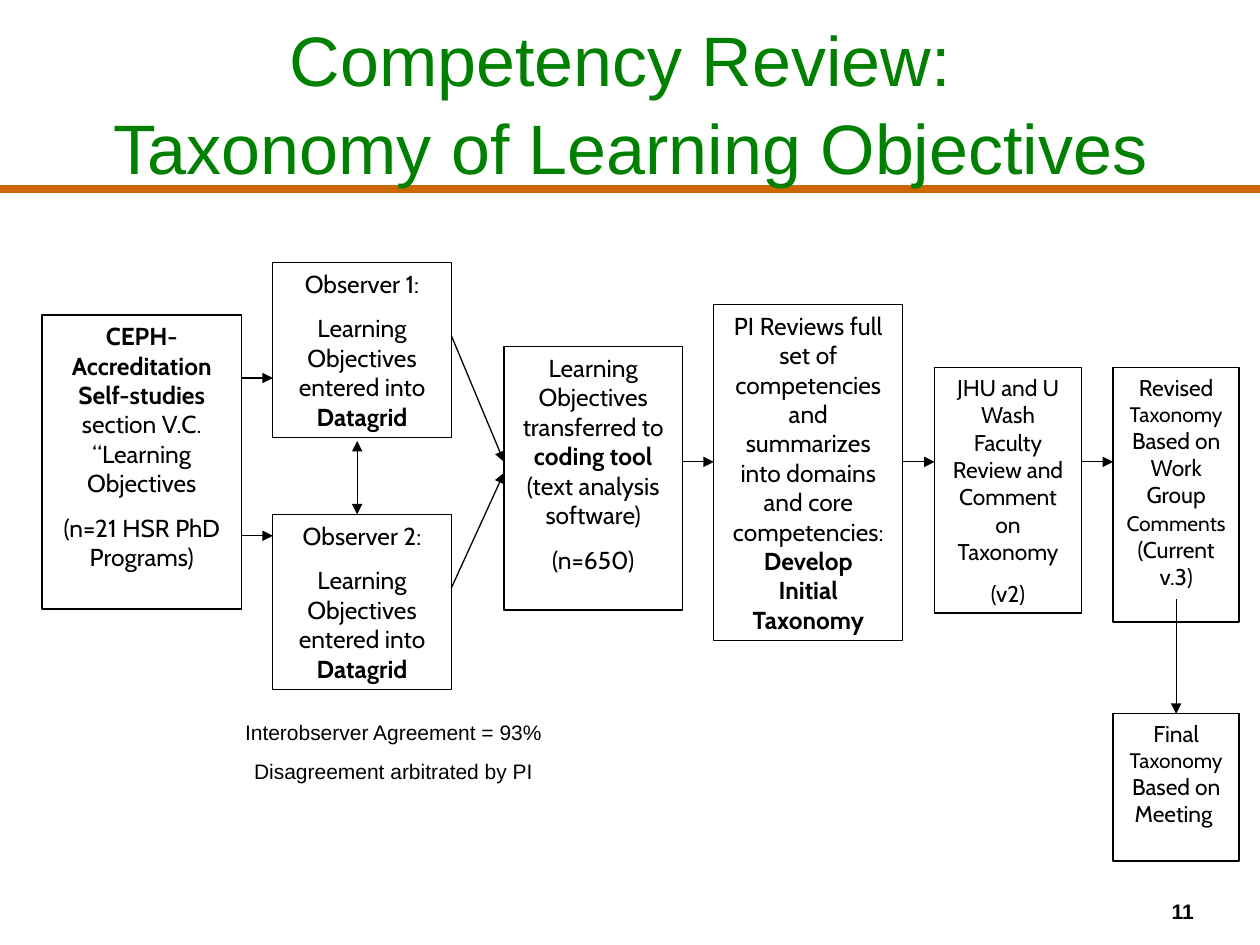
from lxml import etree
from pptx import Presentation
from pptx.dml.color import RGBColor
from pptx.enum.shapes import MSO_CONNECTOR, MSO_SHAPE
from pptx.enum.text import MSO_ANCHOR, PP_ALIGN
from pptx.oxml.ns import qn
from pptx.util import Cm, Pt

STRAIGHT = MSO_CONNECTOR.STRAIGHT
RECTANGLE = MSO_SHAPE.RECTANGLE
TOP, MIDDLE = MSO_ANCHOR.TOP, MSO_ANCHOR.MIDDLE
LEFT, CENTER = PP_ALIGN.LEFT, PP_ALIGN.CENTER
COLORS = {"title": "008000", "rule": "CC6600", "ink": "000000"}


def write(box, paragraphs, font, color="ink", align=CENTER, gap=0, anchor=TOP, wrap=True):
    frame = box.text_frame
    frame.word_wrap = wrap
    frame.vertical_anchor = anchor
    for index, spans in enumerate(paragraphs):
        para = frame.add_paragraph() if index else frame.paragraphs[0]
        para.alignment = align
        para.space_before = Pt(gap if index else 0)
        for text, size, bold in spans:
            span = para.add_run()
            span.text = text
            span.font.name = font
            span.font.size = Pt(size)
            span.font.bold = bold
            span.font.color.rgb = RGBColor.from_string(COLORS[color])


def connect(start, end, color, width, ends=()):
    line = page.shapes.add_connector(STRAIGHT, *map(Cm, start + end))
    line.line.color.rgb = RGBColor.from_string(COLORS[color])
    line.line.width = Pt(width)
    outline = line.line._get_or_add_ln()
    for tag in ends:
        etree.SubElement(outline, qn(tag), type="triangle")
    etree.SubElement(line._element.spPr, qn("a:effectLst"))


deck = Presentation()
deck.slide_width, deck.slide_height = Cm(25.4), Cm(19.05)
page = deck.slides.add_slide(deck.slide_layouts[6])

connect((0, 3.81), (25.4, 3.81), "rule", 4.5)

number = page.shapes.add_textbox(Cm(23.37), Cm(17.98), Cm(2.54), Cm(0.76))
write(number, [[("11", 12, True)]], "Arial", align=LEFT, wrap=False)

title = page.shapes.add_textbox(Cm(1.27), Cm(0.43), Cm(22.86), Cm(3.18))
write(title, [[("Competency Review: ", 40, False)]], "Arial", "title", anchor=MIDDLE)
heading = title.text_frame.paragraphs[0]
heading.line_spacing = 1.05
heading.add_line_break()
second_line = heading.add_run()
second_line.text = "Taxonomy of Learning Objectives"
second_line.font.name = "Arial"
second_line.font.size = Pt(40)
second_line.font.color.rgb = RGBColor.from_string(COLORS["title"])

agreement = page.shapes.add_textbox(Cm(4.66), Cm(14.39), Cm(6.55), Cm(1.55))
write(agreement, [
    [("Interobserver Agreement = 93%", 12, False)],
    [("Disagreement arbitrated by PI", 12, False)],
], "Arial", gap=7.5)

steps = [
    ((0.85, 6.35, 4.02, 5.93), 8.8, [
        [("CEPH-Accreditation Self-studies", 14, True),
         (" section V.C. “Learning Objectives", 14, False)],
        [("(n=21 HSR PhD Programs)", 14, False)]]),
    ((10.16, 6.99, 3.6, 5.31), 8.8, [
        [("Learning Objectives transferred to ", 14, False),
         ("coding tool", 14, True),
         (" (text analysis software)", 14, False)],
        [("(n=650)", 14, False)]]),
    ((14.39, 6.14, 3.81, 6.78), 0, [
        [("PI Reviews full set of competencies and summarizes into domains "
          "and core competencies: ", 14, False),
         ("Develop", 14, True)],
        [("Initial Taxonomy", 14, True)]]),
    ((18.84, 7.41, 2.96, 4.95), 8.1, [
        [("JHU and U Wash Faculty Review and Comment on", 13, False),
         (" ", 12, False),
         ("Taxonomy", 13, False)],
        [("(v2)", 13, False)]]),
    ((22.44, 7.41, 2.54, 5.13), 8.1, [
        [("Revised ", 13, False), ("Taxonomy ", 12, False),
         ("Based on Work Group ", 13, False), ("Comments", 12, False),
         (" (Current v.3)", 13, False)]]),
    ((22.44, 14.39, 2.54, 2.97), 8.1, [
        [("Final ", 13, False), ("Taxonomy ", 12, False),
         ("Based on Meeting ", 13, False)]]),
]
for observer, top in ((1, 5.29), (2, 10.37)):
    steps.append(((5.5, top, 3.6, 3.53), 8.8, [
        [(f"Observer {observer}:", 14, False)],
        [("Learning Objectives entered into ", 14, False), ("Datagrid", 14, True)]]))

for bounds, gap, paragraphs in steps:
    box = page.shapes.add_shape(RECTANGLE, *map(Cm, bounds))
    box.shadow.inherit = False
    box.fill.background()
    box.line.color.rgb = RGBColor.from_string(COLORS["ink"])
    box.line.width = Pt(0.75)
    write(box, paragraphs, "Cabin", gap=gap)

arrows = [
    ((4.87, 7.62), (5.5, 7.62)),
    ((4.87, 10.8), (5.5, 10.8)),
    ((9.1, 6.77), (10.16, 9.31)),
    ((9.1, 11.85), (10.16, 9.53)),
    ((13.76, 9.31), (14.39, 9.31)),
    ((18.2, 9.31), (18.84, 9.31)),
    ((21.8, 9.31), (22.44, 9.31)),
    ((23.71, 12.07), (23.71, 14.39)),
]
for start, end in arrows:
    connect(start, end, "ink", 0.75, ["a:tailEnd"])
connect((7.2, 8.89), (7.2, 10.37), "ink", 0.75, ["a:headEnd", "a:tailEnd"])

deck.save("out.pptx")
